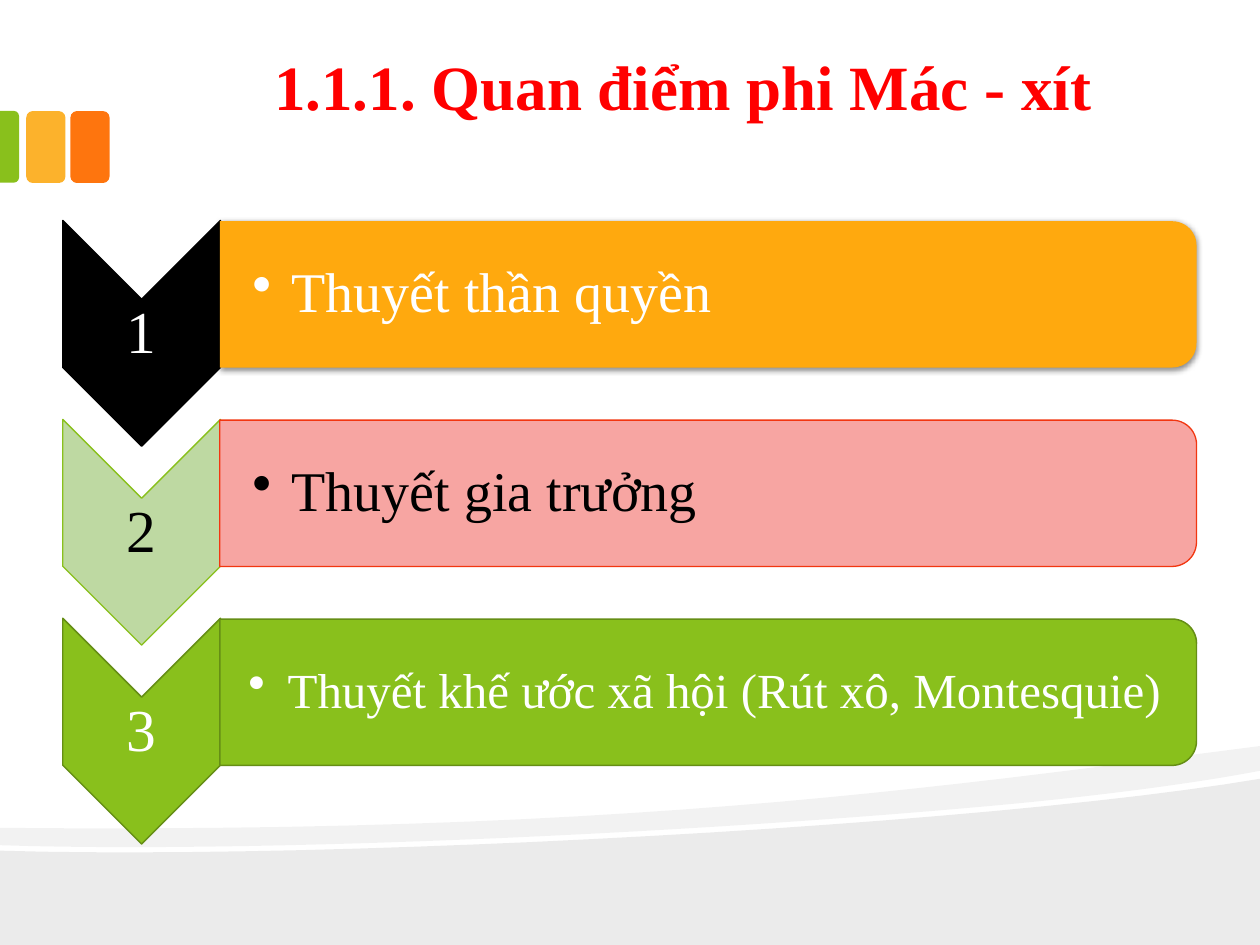
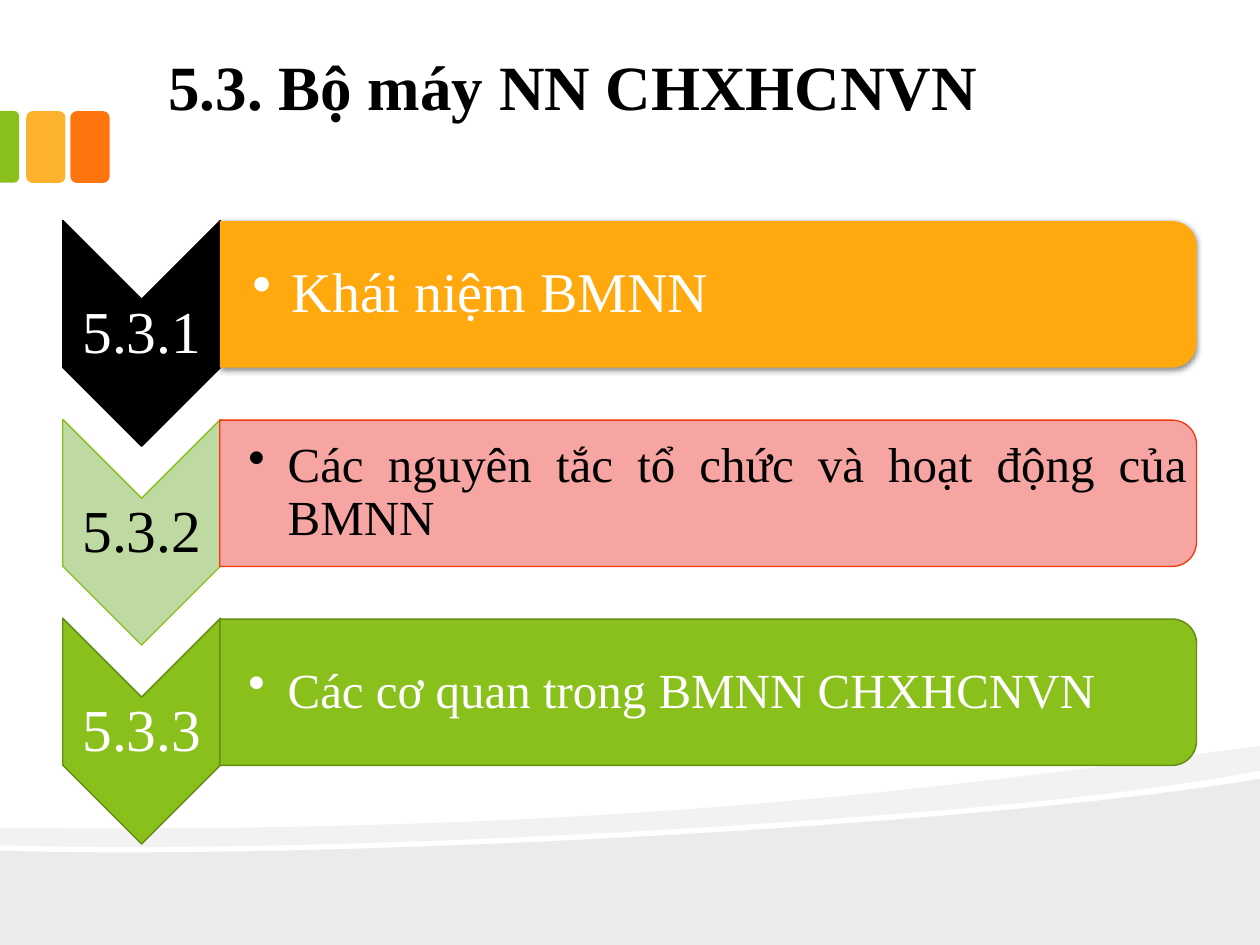
from lxml.etree import SubElement
from pptx import Presentation
from pptx.dml.color import RGBColor as RGB
from pptx.enum.shapes import MSO_SHAPE as Kind
from pptx.enum.text import MSO_ANCHOR as Anchor, MSO_AUTO_SIZE as Auto, PP_ALIGN as Align
from pptx.oxml.ns import qn
from pptx.util import Cm, Pt

# Shared look
FONT = "Times New Roman"
BLACK = RGB(0x00, 0x00, 0x00)
WHITE = RGB(0xFF, 0xFF, 0xFF)
RED = RGB(0xFF, 0x00, 0x00)
GREEN = RGB(0x89, 0xC0, 0x1C)
MOSS = RGB(0x65, 0x8E, 0x15)
MINT = RGB(0xBE, 0xD9, 0xA2)
AMBER = RGB(0xFF, 0xA9, 0x0E)
GOLD = RGB(0xFC, 0xB2, 0x2C)
ORANGE = RGB(0xFE, 0x75, 0x0E)
PINK = RGB(0xF7, 0xA5, 0xA2)
BRICK = RGB(0xF2, 0x36, 0x10)

# Footer waves in cm: opacity in percent, then corners (one point) and curves (three points)
WAVES = [
    (8, [[(25.4, 15.7)], [(25.4, 19.05)], [(0, 19.05)], [(0, 17.15)],
         [(6.71, 17.35), (19.86, 16.64), (25.4, 15.7)]]),
    (5, [[(25.4, 15.04)], [(25.4, 15.54)],
         [(23.93, 15.82), (21.89, 16.08), (19.61, 16.28)],
         [(13.28, 16.84), (4.9, 17.2), (0, 17.04)],
         [(0, 16.69)],
         [(12.42, 16.81), (18.49, 15.93), (25.4, 15.04)]]),
]
STEPS = 24

# Row style: chevron fill and line, bar fill and line, line width, text colour
ROWS = [
    (BLACK, BLACK, AMBER, None, 0.85, WHITE),
    (MINT, GREEN, PINK, BRICK, 0.75, BLACK),
    (GREEN, MOSS, GREEN, MOSS, 0.85, WHITE),
]
PITCH = 4.01

# Slide content: title, its colour and width, then label, text, size and alignment
SLIDES = [
    ("1.1.1. Quan điểm phi Mác - xít", RED, 21.59, [
        ("1", "Thuyết thần quyền", 32, Align.JUSTIFY),
        ("2", "Thuyết gia trưởng", 32, Align.JUSTIFY),
        ("3", "Thuyết khế ước xã hội (Rút xô, Montesquie)", 28, Align.LEFT)]),
    ("5.3. Bộ máy NN CHXHCNVN", BLACK, 17.15, [
        ("5.3.1", "Khái niệm BMNN", 32, Align.JUSTIFY),
        ("5.3.2", "Các nguyên tắc tổ chức và hoạt động của BMNN", 28, Align.JUSTIFY),
        ("5.3.3", "Các cơ quan trong BMNN CHXHCNVN", 28, Align.LEFT)]),
]


def paint(shape, fill, line=None, width=0.75):
    shape.shadow.inherit = False
    shape.fill.solid()
    shape.fill.fore_color.rgb = fill
    if line is None:
        shape.line.fill.background()
    else:
        shape.line.color.rgb = line
        shape.line.width = Pt(width)
    return shape


def write(slide, box, text, size, color, align, inset=None, bullet=False):
    frame = slide.shapes.add_textbox(*map(Cm, box)).text_frame
    frame.word_wrap = True
    para = frame.paragraphs[0]
    para.text = text
    para.alignment = align
    if inset is not None:
        frame.vertical_anchor = Anchor.MIDDLE
        frame.margin_left = Cm(inset)
        frame.margin_top = frame.margin_right = frame.margin_bottom = Cm(0.05)
        para.line_spacing = 0.9
    if bullet:
        para.level = 1
        props = para._p.get_or_add_pPr()
        props.set("marL", str(Cm(0.79)))
        props.set("indent", str(Cm(-0.79)))
        SubElement(props, qn("a:buChar"), char="•")
    font = para.font
    font.name, font.size, font.color.rgb = FONT, Pt(size), color
    return frame


deck = Presentation()
deck.slide_width, deck.slide_height = Cm(25.4), Cm(19.05)

for title, tint, wide, items in SLIDES:
    slide = deck.slides.add_slide(deck.slide_layouts[6])
    shapes = slide.shapes

    # Footer waves
    for alpha, parts in WAVES:
        dots = []
        for part in parts:
            if len(part) == 1:
                dots += part
                continue
            a, (b, c, d) = dots[-1], part
            for step in range(1, STEPS + 1):
                t = step / STEPS
                u = 1 - t
                dots.append(tuple(
                    u**3 * a[k] + 3 * u * u * t * b[k] + 3 * u * t * t * c[k] + t**3 * d[k]
                    for k in (0, 1)))
        dots = [(Cm(x), Cm(y)) for x, y in dots]
        pen = shapes.build_freeform(*dots[0])
        pen.add_line_segments(dots[1:])
        wave = paint(pen.convert_to_shape(), BLACK)
        shade = wave._element.spPr.find(qn("a:solidFill"))[0]
        SubElement(shade, qn("a:alpha"), val=str(alpha * 1000))

    # Colour tabs at the left edge
    for left, color in ((1.42, ORANGE), (0.53, GOLD)):
        paint(shapes.add_shape(Kind.ROUNDED_RECTANGLE, Cm(left), Cm(2.24), Cm(0.79), Cm(1.45)), color)
    tab = shapes.add_shape(Kind.ROUND_2_SAME_RECTANGLE, Cm(-0.53), Cm(2.77), Cm(1.45), Cm(0.38))
    tab.adjustments[0], tab.adjustments[1] = 0.29, 0
    tab.rotation = 90
    paint(tab, GREEN)

    # Numbered rows
    for row, (style, item) in enumerate(zip(ROWS, items)):
        fill, edge, back, rim, width, ink = style
        label, text, size, align = item
        drop = row * PITCH

        arrow = shapes.add_shape(Kind.CHEVRON, Cm(0.58), Cm(5.13 + drop), Cm(4.55), Cm(3.18))
        arrow.rotation = 90
        paint(arrow, fill, edge, width)
        write(slide, (1.27, 6.05 + drop, 3.18, 1.37), label, 34, ink, Align.CENTER, 0.05)

        bar = shapes.add_shape(
            Kind.ROUND_2_SAME_RECTANGLE, Cm(12.8), Cm(-3.91 + drop), Cm(2.95), Cm(19.69))
        bar.rotation = 90
        paint(bar, back, rim, width)
        if rim is None:
            glow = SubElement(
                bar._element.spPr.find(qn("a:effectLst")), qn("a:outerShdw"),
                blurRad=str(Pt(3.5)), dist=str(Pt(1.1)), dir="5400000", rotWithShape="0")
            shade = SubElement(glow, qn("a:srgbClr"), val=str(BLACK))
            SubElement(shade, qn("a:alpha"), val="45000")
        inset = 0.64 if size == 32 else 0.56
        write(slide, (4.45, 4.6 + drop, 19.53, 2.67), text, size, ink, align, inset, True)

    # Title
    head = write(slide, (2.97, 0.84, wide, 1.8), title, 36, tint, Align.CENTER)
    head.auto_size = Auto.SHAPE_TO_FIT_TEXT
    head.paragraphs[0].font.bold = True

deck.save("out.pptx")
